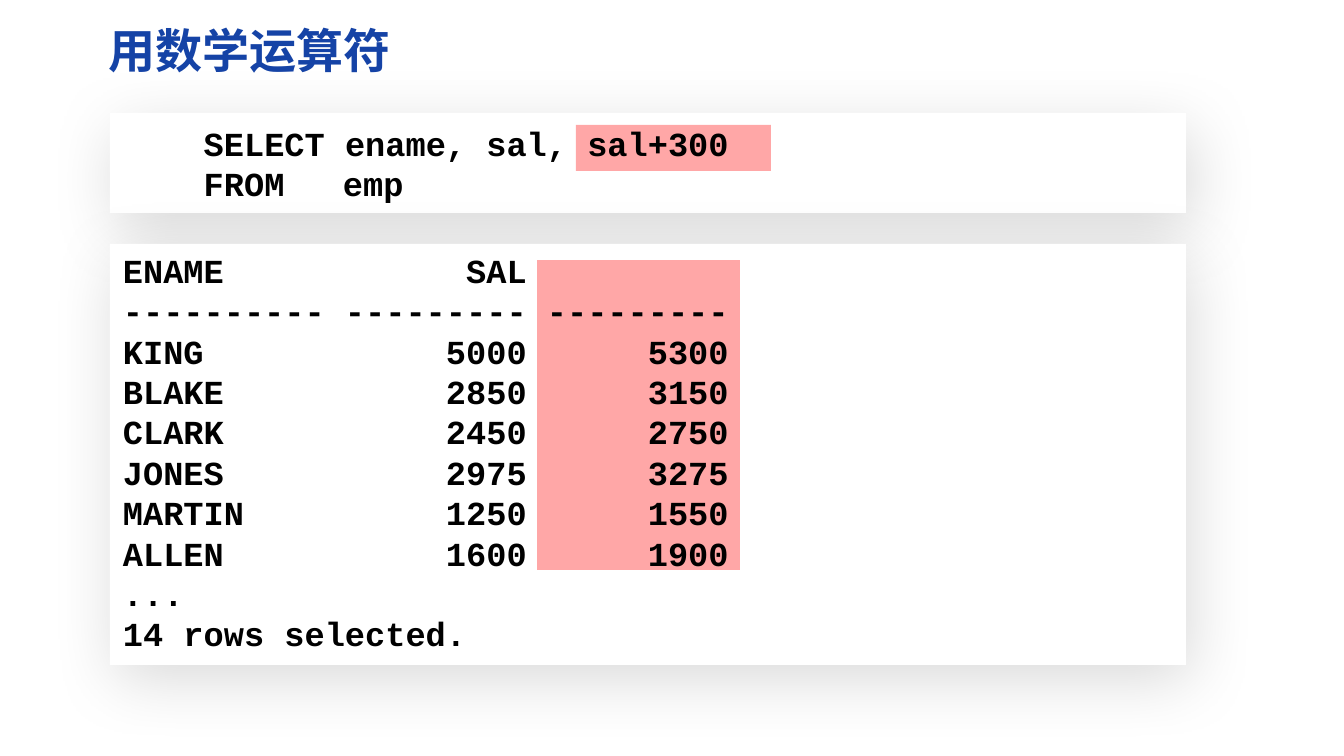
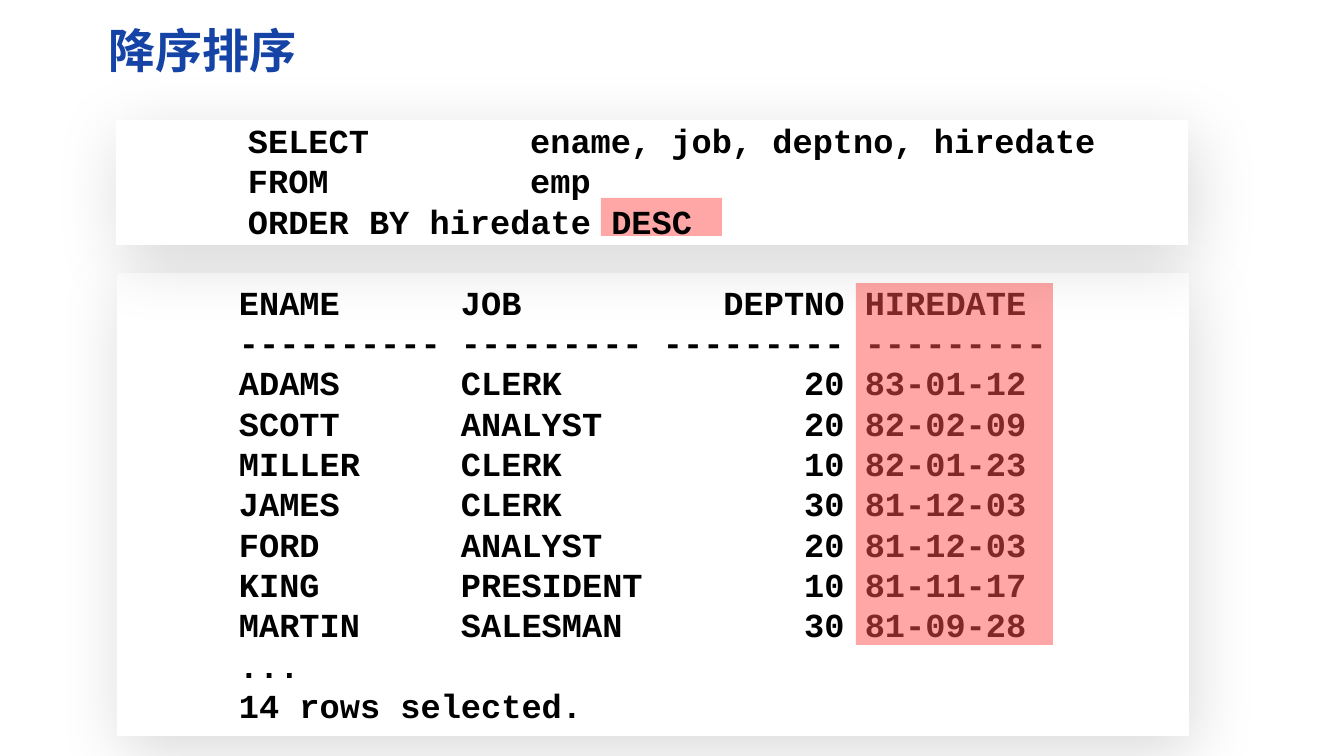
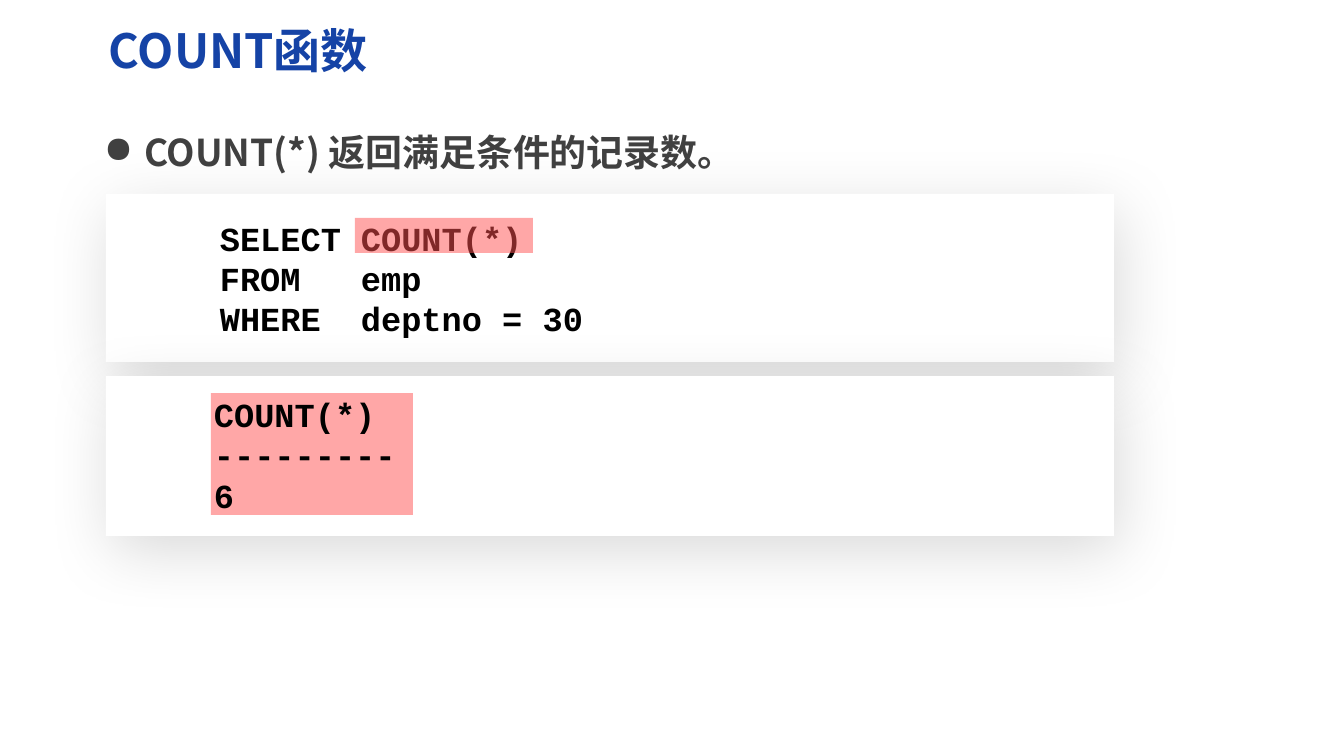
from dataclasses import dataclass

from lxml import etree
from pptx import Presentation
from pptx import util as u
from pptx.dml.color import RGBColor
from pptx.enum import shapes, text
from pptx.oxml import ns

PIXELS_PER_INCH = 121


@dataclass(frozen=True)
class Theme:
    title_color: str = "1543A6"
    body_color: str = "404040"
    code_color: str = "000000"
    panel_color: str = "FFFFFF"
    highlight_color: str = "FF5050"
    text_font: str = "Noto Sans CJK SC"
    code_font: str = "Courier New"
    title_size: int = 28
    body_size: int = 22
    code_size: int = 20


THEME = Theme()
SLIDE_SIZE = (1344, 756)
TITLE_BOX = (96, 15, 1187, 69)
INSET_X, INSET_Y = 13, 7


def px(length):
    return u.Emu(round(length * u.Inches(1) / PIXELS_PER_INCH))


def add_xml(parent, tag, **attributes):
    element = etree.SubElement(parent, ns.qn(tag))
    for name, value in attributes.items():
        element.set(name, str(value))
    return element


# Text
def add_text(slide, box, lines, font, size, color,
             anchor=text.MSO_ANCHOR.MIDDLE, first_indent=0, tab=0):
    shape = slide.shapes.add_textbox(*map(px, box))
    frame = shape.text_frame
    frame.word_wrap = True
    frame.vertical_anchor = anchor
    frame.margin_left = frame.margin_right = px(INSET_X)
    frame.margin_top = frame.margin_bottom = px(INSET_Y)
    for index, line in enumerate(lines):
        paragraph = frame.paragraphs[0] if index == 0 else frame.add_paragraph()
        paragraph.text = line
        properties = paragraph._p.get_or_add_pPr()
        if first_indent:
            properties.set("marL", "0")
            properties.set("indent", str(px(first_indent)))
        if tab:
            stops = add_xml(properties, "a:tabLst")
            add_xml(stops, "a:tab", pos=px(tab), algn="l")
        for run in paragraph.runs:
            run.font.name = font
            run.font.size = u.Pt(size)
            run.font.bold = True
            run.font.color.rgb = RGBColor.from_string(color)
            add_xml(run._r.get_or_add_rPr(), "a:ea", typeface=font)
    return shape


def add_title(slide, title):
    add_text(slide, TITLE_BOX, [title], THEME.text_font, THEME.title_size,
             THEME.title_color)


def add_bullet(slide, box, line):
    shape = add_text(slide, box, [line], THEME.text_font, THEME.body_size,
                     THEME.body_color)
    paragraph = shape.text_frame.paragraphs[0]
    paragraph.line_spacing = 1.3
    properties = paragraph._p.get_or_add_pPr()
    properties.set("marL", str(px(40)))
    properties.set("indent", str(px(-40)))
    add_xml(properties, "a:buChar", char="●")


# Rectangles
def add_rectangle(slide, box, color):
    shape = slide.shapes.add_shape(shapes.MSO_SHAPE.RECTANGLE, *map(px, box))
    shape.shadow.inherit = False
    shape.fill.solid()
    shape.fill.fore_color.rgb = RGBColor.from_string(color)
    shape.line.fill.background()
    return shape


def add_panel(slide, box):
    panel = add_rectangle(slide, box, THEME.panel_color)
    effects = panel._element.spPr.find(ns.qn("a:effectLst"))
    shadow = add_xml(effects, "a:outerShdw", blurRad=u.Pt(40), dist=u.Pt(10),
                     dir=70 * 60000, algn="t", rotWithShape=0)
    color = add_xml(shadow, "a:srgbClr", val="000000")
    add_xml(color, "a:alpha", val=15000)


def add_highlight(slide, box):
    highlight = add_rectangle(slide, box, THEME.highlight_color)
    color = highlight._element.spPr.find(".//" + ns.qn("a:srgbClr"))
    add_xml(color, "a:alpha", val=50000)


# Code panel: the text and highlight boxes are relative to the panel
def add_code_panel(slide, box, text_box, highlight_box, code,
                   highlight_on_top=False, **text_options):
    def inside(part):
        return (box[0] + part[0], box[1] + part[1], *part[2:])

    add_panel(slide, box)
    if not highlight_on_top:
        add_highlight(slide, inside(highlight_box))
    add_text(slide, inside(text_box), code.strip("\n").split("\n"),
             THEME.code_font, THEME.code_size, THEME.code_color, **text_options)
    if highlight_on_top:
        add_highlight(slide, inside(highlight_box))


# Slides
ARITHMETIC_QUERY = """
    SELECT ename, sal, sal+300
    FROM\temp
"""
ARITHMETIC_RESULT = """
ENAME            SAL
---------- --------- ---------
KING            5000      5300
BLAKE           2850      3150
CLARK           2450      2750
JONES           2975      3275
MARTIN          1250      1550
ALLEN           1600      1900
...
14 rows selected.
"""
SORT_QUERY = """
     SELECT  \t ename, job, deptno, hiredate
     FROM    \t emp
     ORDER BY hiredate DESC
"""
SORT_RESULT = """
ENAME      JOB          DEPTNO HIREDATE
---------- --------- --------- ---------
ADAMS      CLERK            20 83-01-12
SCOTT      ANALYST          20 82-02-09
MILLER     CLERK            10 82-01-23
JAMES      CLERK            30 81-12-03
FORD       ANALYST          20 81-12-03
KING       PRESIDENT        10 81-11-17
MARTIN     SALESMAN         30 81-09-28
...
14 rows selected.
"""
COUNT_QUERY = """
     SELECT\tCOUNT(*)
     FROM\temp
     WHERE\tdeptno = 30
"""
COUNT_RESULT = """
COUNT(*)
---------
6
"""


def build_arithmetic(slide):
    add_title(slide, "用数学运算符")
    add_code_panel(slide, (110, 113, 1076, 100), (0, -2, 1072, 104),
                   (466, 12, 195, 46), ARITHMETIC_QUERY, tab=220)
    add_code_panel(slide, (110, 244, 1076, 421), (0, -1, 1079, 421),
                   (427, 16, 203, 310), ARITHMETIC_RESULT,
                   anchor=text.MSO_ANCHOR.TOP)


def build_sort(slide):
    # The query panel casts its shadow over the result
    add_code_panel(slide, (117, 273, 1072, 463), (3, 38, 944, 385),
                   (739, 10, 197, 362), SORT_RESULT, highlight_on_top=True,
                   first_indent=106)
    add_code_panel(slide, (116, 120, 1072, 125), (18, 3, 1076, 115),
                   (485, 78, 121, 38), SORT_QUERY, tab=363)
    add_title(slide, "降序排序")


def build_count(slide):
    add_title(slide, "COUNT函数")
    add_code_panel(slide, (106, 194, 1008, 168), (0, 23, 1008, 122),
                   (249, 24, 178, 35), COUNT_QUERY, highlight_on_top=True,
                   tab=242)
    add_code_panel(slide, (106, 376, 1008, 160), (95, 11, 1004, 136),
                   (105, 17, 202, 122), COUNT_RESULT,
                   anchor=text.MSO_ANCHOR.TOP)
    add_bullet(slide, (91, 102, 1191, 86), "COUNT(*) 返回满足条件的记录数。")


def main():
    presentation = Presentation()
    presentation.slide_width, presentation.slide_height = map(px, SLIDE_SIZE)
    for build in (build_arithmetic, build_sort, build_count):
        build(presentation.slides.add_slide(presentation.slide_layouts[6]))
    presentation.save("out.pptx")


if __name__ == "__main__":
    main()
